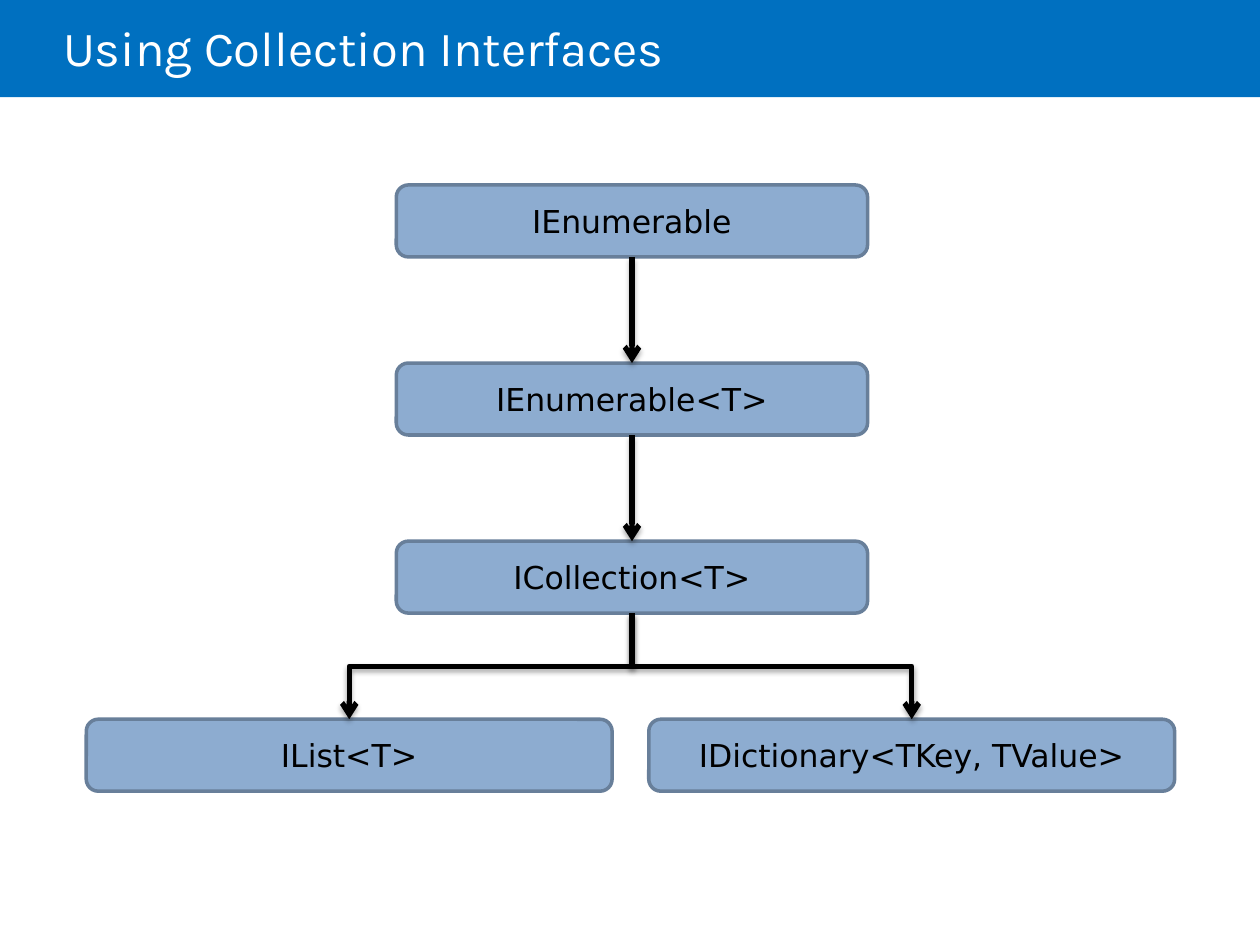
from lxml import etree
from pptx import Presentation
from pptx.dml.color import RGBColor
from pptx.enum.shapes import MSO_CONNECTOR as Link, MSO_SHAPE as Preset
from pptx.enum.text import MSO_ANCHOR as Anchor, MSO_AUTO_SIZE as AutoSize, PP_ALIGN as Align
from pptx.oxml import parse_xml
from pptx.oxml.ns import nsdecls, qn
from pptx.util import Cm, Pt

COLORS = {"banner": "0070C0", "title": "FFFFFF", "box": "8DACD0",
          "border": "687F9A", "ink": "000000"}
TITLE_FONT = {"name": "Karla", "size": Pt(28), "bold": False}
BOX_FONT = {"name": "DejaVu Sans", "size": Pt(18)}
TITLE_FRAME = {"margin_left": 0, "margin_right": Cm(0.25), "margin_top": Cm(0.13),
               "margin_bottom": Cm(0.13), "vertical_anchor": Anchor.MIDDLE,
               "word_wrap": True, "auto_size": AutoSize.NONE}
BOX_FRAME = {**TITLE_FRAME, "margin_left": Cm(0.5), "margin_right": Cm(0.5)}
TOP, BOTTOM = 0, 2  # connection sites of a box


def color(name):
    return RGBColor.from_string(COLORS[name])


def apply(target, values):
    for name, value in values.items():
        setattr(target, name, value)


class Diagram:
    def __init__(self, slide):
        self.slide = slide
        self.shapes = slide.shapes

    def label(self, shape, text, frame_style, font_style, ink, paragraph_style):
        frame = shape.text_frame
        apply(frame, frame_style)
        paragraph = frame.paragraphs[0]
        apply(paragraph, paragraph_style)
        run = paragraph.add_run()
        run.text = text
        apply(run.font, font_style)
        run.font.color.rgb = color(ink)

    def shape(self, preset, left, top, width, height, fill):
        shape = self.shapes.add_shape(preset, Cm(left), Cm(top), Cm(width), Cm(height))
        shape.shadow.inherit = False
        shape.fill.solid()
        shape.fill.fore_color.rgb = color(fill)
        shape.line.fill.background()
        return shape

    def banner(self, width, height):
        banner = self.shape(Preset.RECTANGLE, 0, 0, width, height, "banner")
        self.shapes._spTree.insert(2, banner._element)  # behind the title

    def title(self, text, left, top, width, height):
        title = self.shapes.title
        apply(title, {"left": Cm(left), "top": Cm(top),
                      "width": Cm(width), "height": Cm(height)})
        self.label(title, text, TITLE_FRAME, TITLE_FONT, "title",
                   {"alignment": Align.LEFT, "line_spacing": 0.85})

    def box(self, text, center, top, width, height=1.45):
        box = self.shape(Preset.ROUNDED_RECTANGLE, center - width / 2, top,
                         width, height, "box")
        box.line.color.rgb = color("border")
        box.line.width = Pt(2)
        self.label(box, text, BOX_FRAME, BOX_FONT, "ink", {"alignment": Align.CENTER})
        return box

    def arrow(self, parent, child):
        start_x, end_x = (box.left + box.width // 2 for box in (parent, child))
        start_y, end_y = parent.top + parent.height, child.top
        kind = Link.STRAIGHT if start_x == end_x else Link.ELBOW
        arrow = self.shapes.add_connector(kind, start_x, start_y, end_x, end_y)
        arrow.begin_connect(parent, BOTTOM)
        arrow.end_connect(child, TOP)
        properties = arrow._element.spPr
        if kind == Link.ELBOW:
            # Turn the elbow so that it leaves and arrives vertically
            across, down = abs(end_x - start_x), end_y - start_y
            apply(arrow, {"left": (start_x + end_x - down) // 2,
                          "top": (start_y + end_y - across) // 2,
                          "width": down, "height": across})
            to_right = end_x > start_x
            transform = properties.find(qn("a:xfrm"))
            transform.set("rot", str((270 if to_right else 90) * 60000))
            transform.set("flipH", "1" if to_right else "0")
        arrow.line.color.rgb = color("ink")
        arrow.line.width = Pt(3)
        etree.SubElement(properties.find(qn("a:ln")), qn("a:tailEnd"), type="arrow")
        properties.append(parse_xml(
            f'<a:effectLst {nsdecls("a")}><a:outerShdw blurRad="{Pt(3.1)}" '
            f'dist="{Pt(1.8)}" dir="5400000" rotWithShape="0">'
            f'<a:srgbClr val="{COLORS["ink"]}"><a:alpha val="35000"/></a:srgbClr>'
            '</a:outerShdw></a:effectLst>'))


presentation = Presentation()
presentation.slide_width, presentation.slide_height = Cm(25.4), Cm(19.05)
diagram = Diagram(presentation.slides.add_slide(presentation.slide_layouts[5]))

# Heading
diagram.banner(25.4, 1.96)
diagram.title("Using Collection Interfaces", 1.27, 0, 21.59, 2.06)

# Chain of interfaces, then its two branches
FIRST_ROW, ROW_STEP, MIDDLE = 3.73, 3.59, 12.74
chain = [diagram.box(name, MIDDLE, FIRST_ROW + row * ROW_STEP, 9.5)
         for row, name in enumerate(["IEnumerable", "IEnumerable<T>", "ICollection<T>"])]
branches = [diagram.box(name, center, FIRST_ROW + len(chain) * ROW_STEP, 10.6)
            for name, center in [("IList<T>", 7.04), ("IDictionary<TKey, TValue>", 18.38)]]

# Arrows from parent to child
links = list(zip(chain, chain[1:])) + [(chain[-1], branch) for branch in branches]
for parent, child in links:
    diagram.arrow(parent, child)

presentation.save("out.pptx")
